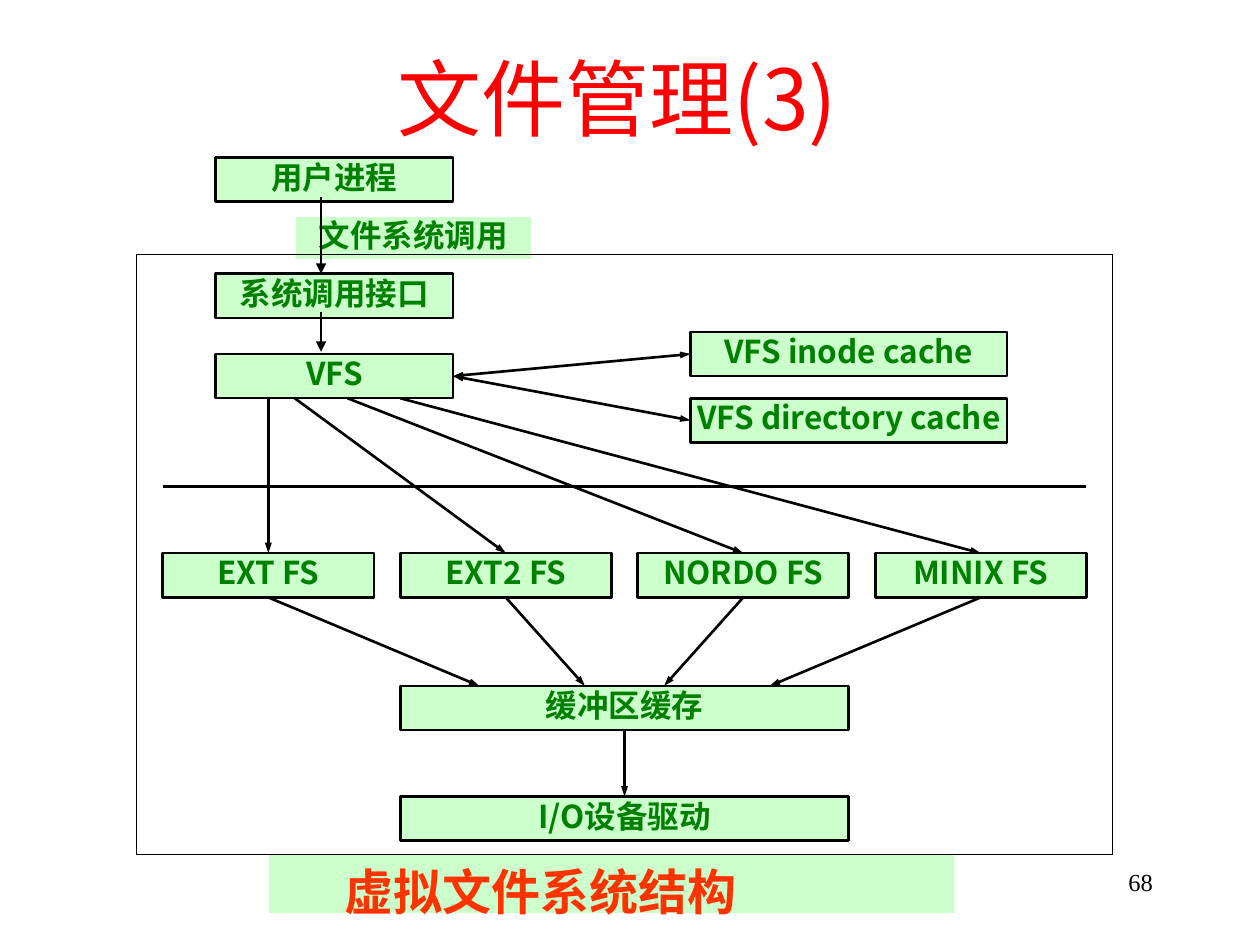
from dataclasses import dataclass

from lxml.etree import SubElement
from pptx import Presentation
from pptx.dml.color import RGBColor as Color
from pptx.enum.shapes import MSO_CONNECTOR as Connector, MSO_SHAPE as Preset
from pptx.enum.text import MSO_ANCHOR as Anchor, PP_ALIGN as Align
from pptx.oxml.ns import qn
from pptx.util import Cm, Pt


@dataclass(frozen=True)
class Theme:
    font: str = "Noto Sans CJK SC"
    number_font: str = "Times New Roman"
    title: str = "FF0000"
    caption: str = "FF3300"
    label: str = "008000"
    box: str = "CCFFCC"
    ink: str = "000000"
    paper: str = "FFFFFF"
    title_size: float = 48
    caption_size: float = 28
    label_size: float = 18
    number_size: float = 14
    thick: float = 1.5
    thin: float = 0.75


THEME = Theme()

# The diagram sits on a fine grid: columns from the frame's left edge,
# rows from the top of the inode cache box.
LEFT, COLUMN_STEP = 2.75, 19.68 / 37
TOP, ROW_STEP = 6.69, 10.54 / 47.25
BOX_ROWS = 4


def column(index: float) -> int:
    return Cm(LEFT + index * COLUMN_STEP)


def row(index: float) -> int:
    return Cm(TOP + index * ROW_STEP)


@dataclass(frozen=True)
class Box:
    text: str
    left: float
    top: float
    columns: float
    rows: float = BOX_ROWS
    outline: str = THEME.ink
    weight: float = THEME.thick
    color: str = THEME.label
    size: float = THEME.label_size
    align: Align = Align.CENTER
    indent: float = 0
    inset: float = 0


@dataclass(frozen=True)
class Line:
    start: tuple[float, float]
    end: tuple[float, float]
    weight: float = THEME.thick
    head: bool = False
    tail: bool = True


def format_paragraph(paragraph, align: Align, size: float, color: str,
                     bold: bool = False, name: str = THEME.font) -> None:
    paragraph.alignment = align
    font = paragraph.font
    font.name, font.size, font.bold = name, Pt(size), bold
    font.color.rgb = Color.from_string(color)
    defaults = paragraph._p.pPr.find(qn("a:defRPr"))
    SubElement(defaults, qn("a:ea")).set("typeface", name)


def draw_box(slide, box: Box) -> None:
    shape = slide.shapes.add_shape(
        Preset.RECTANGLE, column(box.left), row(box.top),
        column(box.left + box.columns) - column(box.left),
        row(box.top + box.rows) - row(box.top))
    shape.shadow.inherit = False
    shape.fill.solid()
    shape.fill.fore_color.rgb = Color.from_string(THEME.box)
    shape.line.color.rgb = Color.from_string(box.outline)
    shape.line.width = Pt(box.weight)
    frame = shape.text_frame
    frame.word_wrap = True
    frame.vertical_anchor = Anchor.TOP
    frame.margin_left = Cm(box.indent)
    frame.margin_right = 0
    frame.margin_top = frame.margin_bottom = Cm(box.inset)
    paragraph = frame.paragraphs[0]
    paragraph.text = box.text
    format_paragraph(paragraph, box.align, box.size, box.color, bold=True)


def draw_line(slide, line: Line) -> None:
    (start_x, start_y), (end_x, end_y) = line.start, line.end
    connector = slide.shapes.add_connector(
        Connector.STRAIGHT, column(start_x), row(start_y), column(end_x), row(end_y))
    connector.line.color.rgb = Color.from_string(THEME.ink)
    connector.line.width = Pt(line.weight)
    outline = connector.line._get_or_add_ln()
    for tag, present in (("a:headEnd", line.head), ("a:tailEnd", line.tail)):
        if present:
            arrow = SubElement(outline, qn(tag))
            arrow.set("type", "triangle")
            arrow.set("w", "sm" if line.weight == THEME.thick else "med")
    SubElement(connector._element.spPr, qn("a:effectLst"))


def draw_title(slide, text: str) -> None:
    title = slide.shapes.title
    title.left, title.top, title.width, title.height = Cm(5.88), Cm(0.68), Cm(13.13), Cm(2.54)
    title.text_frame.vertical_anchor = Anchor.MIDDLE
    paragraph = title.text_frame.paragraphs[0]
    paragraph.text = text
    format_paragraph(paragraph, Align.CENTER, THEME.title_size, THEME.title)


def draw_slide_number(slide, number: str) -> None:
    frame = slide.shapes.add_textbox(Cm(18.21), Cm(17.35), Cm(5.28), Cm(1.27)).text_frame
    frame.word_wrap = True
    paragraph = frame.paragraphs[0]
    paragraph.text = number
    format_paragraph(paragraph, Align.RIGHT, THEME.number_size, THEME.ink,
                     name=THEME.number_font)


# Shared levels of the diagram
USER_ROW, CALL_ROW, VFS_ROW = -15.75, -5.25, 2
SYSTEM_ROW, BUFFER_ROW, DRIVER_ROW = 20, 32, 42
FRAME_TOP, FRAME_BOTTOM, FRAME_RIGHT = -7, 47.25, 37
FILE_SYSTEMS = ("EXT FS", "EXT2 FS", "NORDO FS", "MINIX FS")
SYSTEM_LEFTS = [1 + 9 * index for index in range(len(FILE_SYSTEMS))]
VFS_EXITS = (5, 6, 8, 10)
BUFFER_ENTRIES = (13, 17, 20, 24)
CACHE_ROWS = (0, 6)

BOXES = [
    Box("用户进程", 3, USER_ROW, 9),
    Box("文件系统调用", 6, -10.5, 9, outline=THEME.paper),
    Box("系统调用接口", 3, CALL_ROW, 9),
    Box("VFS", 3, VFS_ROW, 9),
    Box("VFS inode cache", 21, CACHE_ROWS[0], 12),
    Box("VFS directory cache", 21, CACHE_ROWS[1], 12),
    *(Box(name, left, SYSTEM_ROW, 8) for name, left in zip(FILE_SYSTEMS, SYSTEM_LEFTS)),
    Box("缓冲区缓存", 10, BUFFER_ROW, 17),
    Box("I/O设备驱动", 10, DRIVER_ROW, 17),
    Box("虚拟文件系统结构", 5, FRAME_BOTTOM, 26, rows=5.35, outline=THEME.paper,
        weight=THEME.thin, color=THEME.caption, size=THEME.caption_size,
        align=Align.LEFT, indent=1.54, inset=0.13),
]

CORNERS = [(0, FRAME_TOP), (FRAME_RIGHT, FRAME_TOP),
           (FRAME_RIGHT, FRAME_BOTTOM), (0, FRAME_BOTTOM)]

LINES = [
    # Frame and divider
    *(Line(start, end, THEME.thin, tail=False)
      for start, end in zip(CORNERS, CORNERS[1:] + CORNERS[:1])),
    Line((1, 14), (36, 14), tail=False),
    # User process to system call interface to VFS
    Line((7, -12.2), (7, CALL_ROW), THEME.thin),
    Line((7, -1.75), (7, 1.8), THEME.thin),
    # VFS and its caches
    *(Line((12, VFS_ROW + 2), (21, top + 2), head=True) for top in CACHE_ROWS),
    # VFS to each file system, and on to the buffer cache
    *(Line((start, VFS_ROW + BOX_ROWS), (left + 4, SYSTEM_ROW))
      for start, left in zip(VFS_EXITS, SYSTEM_LEFTS)),
    *(Line((left + 4, SYSTEM_ROW + BOX_ROWS), (end, BUFFER_ROW))
      for left, end in zip(SYSTEM_LEFTS, BUFFER_ENTRIES)),
    # Buffer cache to device drivers
    Line((18.5, BUFFER_ROW + BOX_ROWS), (18.5, DRIVER_ROW)),
]


def main() -> None:
    presentation = Presentation()
    presentation.slide_width, presentation.slide_height = Cm(25.4), Cm(19.05)
    slide = presentation.slides.add_slide(presentation.slide_layouts[5])
    draw_title(slide, "文件管理(3)")
    for box in BOXES:
        draw_box(slide, box)
    for line in LINES:
        draw_line(slide, line)
    draw_slide_number(slide, "68")
    presentation.save("out.pptx")


if __name__ == "__main__":
    main()
